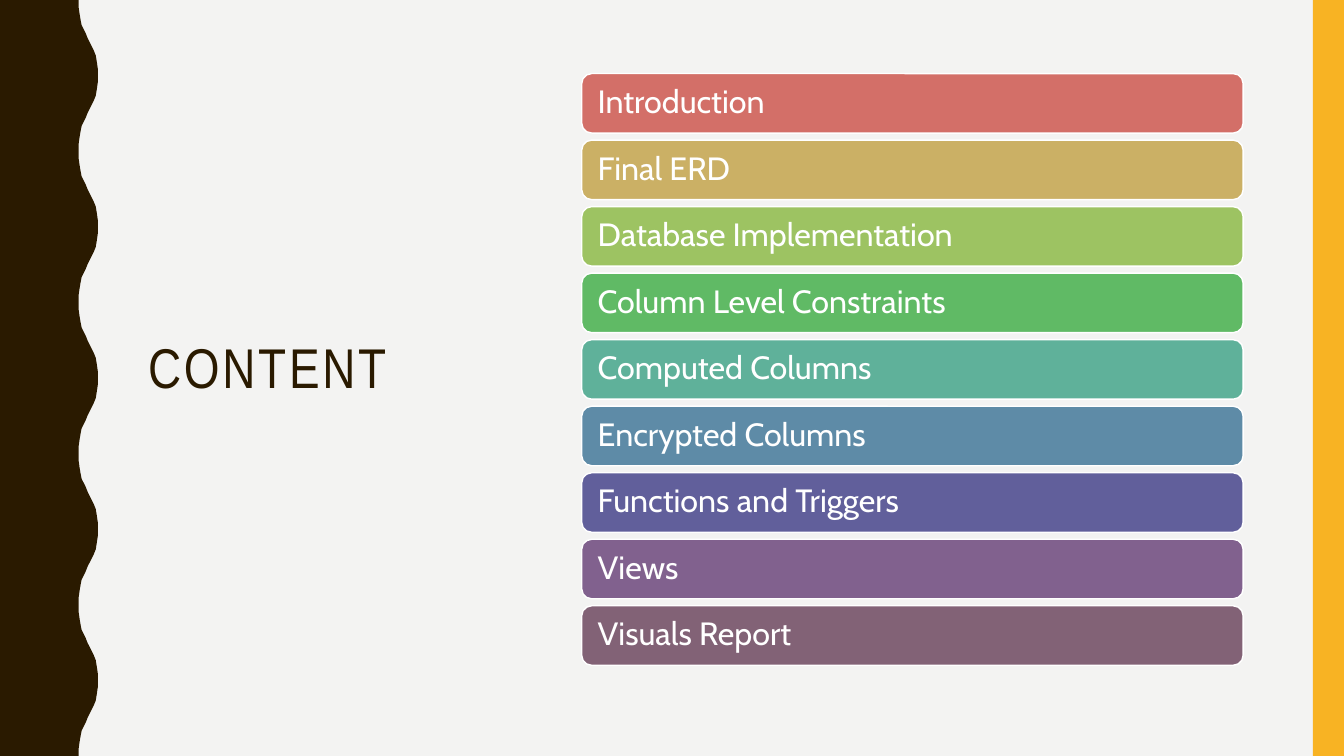
from pptx import Presentation
from pptx.dml.color import RGBColor
from pptx.enum.shapes import MSO_SHAPE
from pptx.enum.text import MSO_ANCHOR, PP_ALIGN
from pptx.util import Inches, Pt


def paint(fill, color):
    fill.solid()
    fill.fore_color.rgb = RGBColor.from_string(color)


def write(shape, text, size, font, color, inset=0.1, track=0):
    frame = shape.text_frame
    frame.word_wrap = True
    frame.vertical_anchor = MSO_ANCHOR.MIDDLE
    frame.margin_left = Inches(inset)
    para = frame.paragraphs[0]
    para.alignment = PP_ALIGN.LEFT
    para.line_spacing = 0.9
    run = para.add_run()
    run.text = text
    run.font.size = Pt(size)
    run.font.name = font
    run.font.color.rgb = RGBColor.from_string(color)
    if track:
        run.font._element.set("spc", str(track * 100))


deck = Presentation()
deck.slide_width = Inches(13.33)
deck.slide_height = Inches(7.5)
slide = deck.slides.add_slide(deck.slide_layouts[6])
paint(slide.background.fill, "F3F3F2")
shapes = slide.shapes

# Wavy left edge: five equal waves, each half mirrored
half = [(0.78, 0), (0.78, 0.07), (0.79, 0.14), (0.8, 0.2), (0.81, 0.25),
        (0.83, 0.29), (0.85, 0.33), (0.87, 0.38), (0.89, 0.42), (0.91, 0.46),
        (0.93, 0.5), (0.95, 0.55), (0.96, 0.61), (0.97, 0.68), (0.97, 0.75)]
period = 1.5
full = half + [(x, period - y) for x, y in half[-2::-1]]
edge = [(x, y + period * n) for n in range(5) for x, y in full]
points = [(Inches(x), Inches(y)) for x, y in edge + [(0, 7.5)]]
pen = shapes.build_freeform(0, 0)
pen.add_line_segments(points, close=True)
wave = pen.convert_to_shape()
wave.shadow.inherit = False
paint(wave.fill, "2A1A00")
wave.line.fill.background()

# Yellow right band
band = shapes.add_shape(MSO_SHAPE.RECTANGLE, Inches(13.02), 0, Inches(0.31), Inches(7.5))
band.shadow.inherit = False
paint(band.fill, "F8B323")
band.line.fill.background()

# Title
title = shapes.add_textbox(Inches(1.37), Inches(0.71), Inches(3.7), Inches(5.93))
write(title, "CONTENT", size=40, font="Arial Narrow", color="2A1A00", track=2)

# Topic bars
topics = [
    ("Introduction", "D36F68"),
    ("Final ERD", "CBB065"),
    ("Database Implementation", "9DC362"),
    ("Column Level Constraints", "60BA65"),
    ("Computed Columns", "5FB19A"),
    ("Encrypted Columns", "5E8BA7"),
    ("Functions and Triggers", "615F9B"),
    ("Views", "81618E"),
    ("Visuals Report", "826276"),
]
for row, (topic, color) in enumerate(topics):
    bar = shapes.add_shape(MSO_SHAPE.ROUNDED_RECTANGLE, Inches(5.77),
                           Inches(0.73 + 0.66 * row), Inches(6.56), Inches(0.59))
    bar.shadow.inherit = False
    paint(bar.fill, color)
    paint(bar.line.fill, "FFFFFF")
    bar.line.width = Pt(1)
    write(bar, topic, size=23, font="Cabin", color="FFFFFF", inset=0.13)

deck.save("out.pptx")
